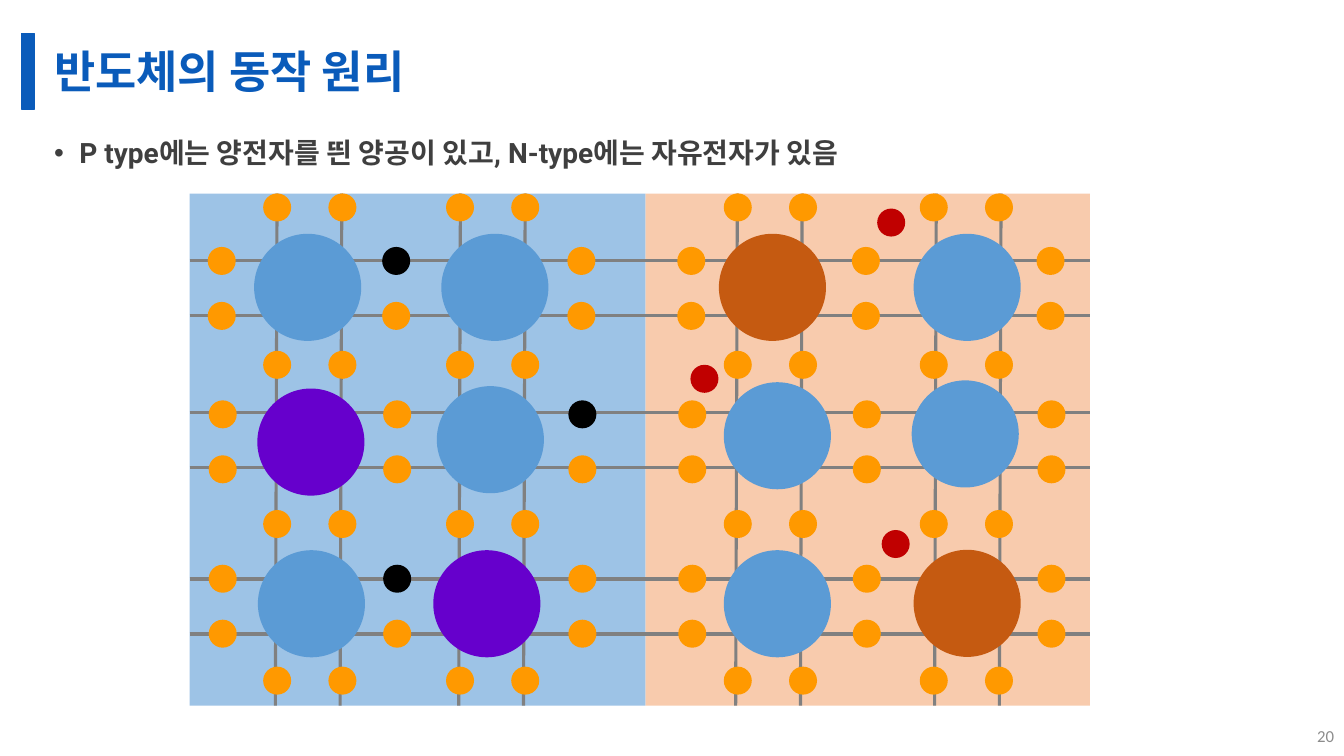
from dataclasses import dataclass
from itertools import product

from lxml.etree import SubElement
from pptx import Presentation
from pptx.dml.color import RGBColor
from pptx.enum.shapes import MSO_CONNECTOR, MSO_SHAPE
from pptx.enum.text import MSO_ANCHOR, MSO_AUTO_SIZE, PP_ALIGN
from pptx.oxml.ns import qn
from pptx.util import Pt


@dataclass(frozen=True)
class Theme:
    title: str = "0A5BBA"
    body: str = "3F3F3F"
    number: str = "8C8C8C"
    p_side: str = "9DC3E6"
    n_side: str = "F8CBAD"
    bond: str = "808080"
    silicon: str = "5B9BD5"
    acceptor: str = "6600CC"
    donor: str = "C55A11"
    electron: str = "FF9900"
    hole: str = "000000"
    free: str = "C00000"
    title_size: float = 32
    body_size: float = 20
    number_size: float = 12
    bond_width: float = 2.25
    atom_size: float = 76.5
    dot_size: float = 20


class Slide:
    def __init__(self, prs, theme):
        self.t = theme
        self.s = prs.slides.add_slide(prs.slide_layouts[1])

    def place(self, sp, x, y, w, h):
        sp.left, sp.top, sp.width, sp.height = Pt(x), Pt(y), Pt(w), Pt(h)

    def add_text(self, sp, text, font, size, color, bold=False,
                 align=PP_ALIGN.LEFT, anchor=MSO_ANCHOR.MIDDLE):
        tf = sp.text_frame
        tf.word_wrap = True
        tf.auto_size = MSO_AUTO_SIZE.NONE
        tf.vertical_anchor = anchor
        p = tf.paragraphs[0]
        p.alignment = align
        r = p.add_run()
        r.text = text
        r.font.name, r.font.size, r.font.bold = font, Pt(size), bold
        r.font.color.rgb = RGBColor.from_string(color)
        return p

    def title(self, text, x, y, w, h):
        sp = self.s.shapes.title
        self.place(sp, x, y, w, h)
        p = self.add_text(sp, text, "Cabin", self.t.title_size, self.t.title, True)
        p.line_spacing = 0.9
        sp.text_frame.margin_bottom = 0

    def bullet(self, text, x, y, w, h):
        sp = self.s.placeholders[1]
        self.place(sp, x, y, w, h)
        p = self.add_text(sp, text, "Roboto", self.t.body_size, self.t.body, True,
                          anchor=MSO_ANCHOR.TOP)
        p.line_spacing, p.space_before, p.space_after = 1.14, Pt(10), Pt(3)
        pPr = p._p.get_or_add_pPr()
        pPr.set("marL", str(Pt(18)))
        pPr.set("indent", str(-Pt(18)))
        SubElement(pPr, qn("a:buFont")).set("typeface", "Arial")
        SubElement(pPr, qn("a:buChar")).set("char", "•")

    def number(self, text, x, y, w, h):
        sp = self.s.shapes.add_textbox(Pt(x), Pt(y), Pt(w), Pt(h))
        self.add_text(sp, text, "Calibri", self.t.number_size, self.t.number,
                      align=PP_ALIGN.RIGHT)

    def shape(self, kind, x, y, w, h, color, line=False):
        sp = self.s.shapes.add_shape(kind, Pt(x), Pt(y), Pt(w), Pt(h))
        sp.shadow.inherit = False
        sp.fill.solid()
        sp.fill.fore_color.rgb = RGBColor.from_string(color)
        if line:
            sp.line.color.rgb = RGBColor.from_string(color)
            sp.line.width = Pt(1)
        else:
            sp.line.fill.background()

    def rect(self, x, y, w, h, color, line=False):
        self.shape(MSO_SHAPE.RECTANGLE, x, y, w, h, color, line)

    def circle(self, x, y, size, color):
        self.shape(MSO_SHAPE.OVAL, x, y, size, size, color)

    def bond(self, x1, y1, x2, y2):
        c = self.s.shapes.add_connector(MSO_CONNECTOR.STRAIGHT,
                                        Pt(x1), Pt(y1), Pt(x2), Pt(y2))
        c.line.color.rgb = RGBColor.from_string(self.t.bond)
        c.line.width = Pt(self.t.bond_width)
        SubElement(c._element.spPr, qn("a:effectLst"))


def main():
    t = Theme()
    prs = Presentation()
    prs.slide_width, prs.slide_height = Pt(960), Pt(540)
    s = Slide(prs, t)

    # Heading, bullet and slide number
    s.rect(15.5, 24, 9, 54, t.title, line=True)
    s.title("반도체의 동작 원리", 31.5, 24, 896.5, 54)
    s.bullet("P type에는 양전자를 띈 양공이 있고, N-type에는 자유전자가 있음",
             31.5, 90, 896.5, 426)
    s.number("20", 928, 511, 32, 29)

    # P side and N side
    left, middle, right, top, bottom = 135.5, 461, 778.5, 138.25, 504
    s.rect(middle, top, right - middle, bottom - top, t.n_side)
    s.rect(left, top, middle - left, bottom - top, t.p_side)

    # Paired bonds; the vertical ones lean slightly
    row_gap, col_gap = 39.25, 46.25
    for y, step in product((186.4, 294.7, 413.6), (0, row_gap)):
        s.bond(left, y + step, right, y + step)
    for x, step in product((196.7, 327.7, 525.5, 667.6), (0, col_gap)):
        s.bond(x + step, bottom, x + step + 1.2, top)

    # Atoms, column by column
    atoms = (
        ((181.5, 167, t.silicon), (183.8, 277.5, t.acceptor), (184.2, 393, t.silicon)),
        ((315.2, 167, t.silicon), (312, 275.8, t.silicon), (309.5, 393, t.acceptor)),
        ((513.5, 167, t.donor), (517, 273, t.silicon), (517, 393, t.silicon)),
        ((652.6, 167, t.silicon), (651.2, 271.7, t.silicon), (652.6, 392.7, t.donor)),
    )
    for column in atoms:
        for x, y, color in column:
            s.circle(x, y, t.atom_size, color)

    # Electrons on horizontal bonds, with holes as (row, column) of the upper dots
    holes = {(0, 1), (1, 2), (2, 1)}
    dot_columns = (148.4, 273, 405.3, 483.8, 608.5, 740.4)
    for (row, y), (col, x) in product(enumerate((176.4, 286, 403.4)),
                                      enumerate(dot_columns)):
        shift = 0.7 if row else 0
        s.circle(x + shift, y, t.dot_size, t.hole if (row, col) in holes else t.electron)
        s.circle(x + shift, y + row_gap, t.dot_size, t.electron)

    # Electrons on vertical bonds
    for x, step, y in product((188, 318.6, 517, 657), (0, 46.6),
                              (138.2, 250.6, 364.3, 476.2)):
        s.circle(x + step, y, t.dot_size, t.electron)

    # Free electrons
    for x, y in ((493.2, 260.6), (626.6, 149), (629.8, 378.6)):
        s.circle(x, y, t.dot_size, t.free)

    prs.save("out.pptx")


if __name__ == "__main__":
    main()
